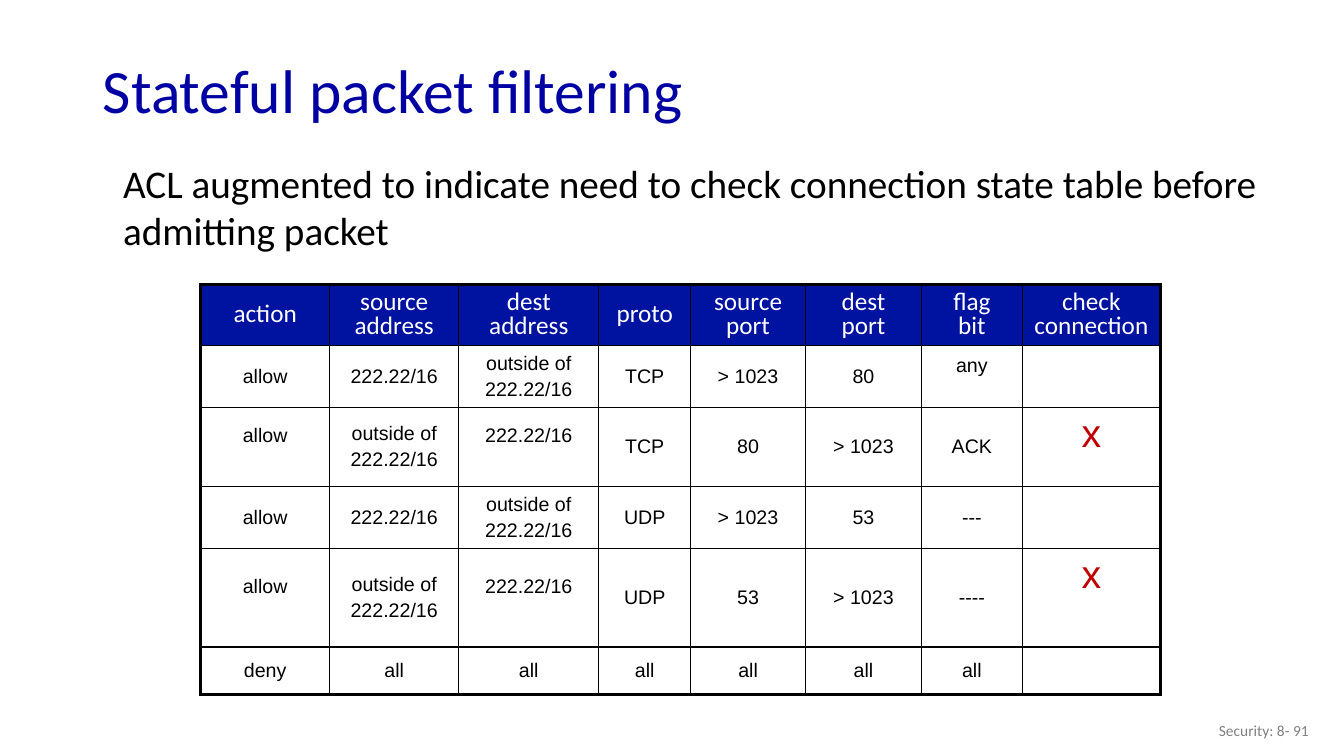
import dataclasses

import lxml.etree
import pptx
import pptx.dml.color
import pptx.enum.text
import pptx.oxml.ns
import pptx.util

Inches, Pt = pptx.util.Inches, pptx.util.Pt
ALIGN, ANCHOR = pptx.enum.text.PP_ALIGN, pptx.enum.text.MSO_ANCHOR
qn = pptx.oxml.ns.qn


@dataclasses.dataclass(frozen=True)
class Theme:
    heading_font: str = "Calibri"
    cell_font: str = "Arial"
    title: str = "0000A3"
    header_fill: str = "0012A0"
    header_text: str = "FFFFFF"
    ink: str = "000000"
    check: str = "C00000"
    footer: str = "808080"
    title_size: float = 44
    body_size: float = 28
    header_size: float = 18
    cell_size: float = 14
    check_size: float = 28
    footer_size: float = 11
    inner_line: float = 1
    outer_line: float = 2.25


THEME = Theme()

COLUMN_WIDTHS = [1.28, 1.28, 1.39, 0.91, 1.14, 1.15, 1, 1.37]
ROW_HEIGHTS = [0.61, 0.61, 0.79, 0.61, 0.98, 0.47]
HEADERS = ["action", "source\naddress", "dest\naddress", "proto",
           "source\nport", "dest\nport", "flag\nbit", "check connection"]
INSIDE, OUTSIDE = "222.22/16", "outside of\n222.22/16"
RULES = [
    ["allow", INSIDE, OUTSIDE, "TCP", "> 1023", "80", "any", ""],
    ["allow", OUTSIDE, INSIDE, "TCP", "80", "> 1023", "ACK", "x"],
    ["allow", INSIDE, OUTSIDE, "UDP", "> 1023", "53", "---", ""],
    ["allow", OUTSIDE, INSIDE, "UDP", "53", "> 1023", "----", "x"],
    ["deny"] + ["all"] * 6 + [""],
]
RAISED_CELLS = {(1, 6), (2, 0), (2, 2), (4, 0), (4, 2)}


def rgb(value):
    return pptx.dml.color.RGBColor.from_string(value)


def write(frame, text, *, size, color, font=THEME.heading_font, align=ALIGN.LEFT,
          line_spacing=None, space_before=0):
    """Fill a text frame, one paragraph for each line of text."""
    frame.word_wrap = True
    for index, line in enumerate(text.split("\n")):
        paragraph = frame.add_paragraph() if index else frame.paragraphs[0]
        paragraph.alignment = align
        paragraph.space_before = Pt(space_before)
        if line_spacing:
            paragraph.line_spacing = line_spacing
        run = paragraph.add_run()
        run.text = line
        run.font.name, run.font.size = font, Pt(size)
        run.font.color.rgb = rgb(color)


def place(shape, left, top, width, height):
    shape.left, shape.top = Inches(left), Inches(top)
    shape.width, shape.height = Inches(width), Inches(height)


def add_title(slide, text):
    title = slide.shapes.title
    place(title, 0.92, 0.44, 11.5, 0.98)
    title.text_frame.auto_size = pptx.enum.text.MSO_AUTO_SIZE.NONE
    title.text_frame.vertical_anchor = ANCHOR.MIDDLE
    write(title.text_frame, text, size=THEME.title_size, color=THEME.title,
          line_spacing=0.9)


def add_statement(slide, text):
    """Use the body placeholder for one unbulleted paragraph."""
    body = slide.placeholders[1]
    place(body, 1.12, 1.53, 11.95, 1.21)
    body.text_frame.auto_size = pptx.enum.text.MSO_AUTO_SIZE.NONE
    write(body.text_frame, text, size=THEME.body_size, color=THEME.ink,
          space_before=0.2 * THEME.body_size)
    properties = body.text_frame.paragraphs[0]._p.get_or_add_pPr()
    properties.set("marL", "0")
    properties.set("indent", "0")
    lxml.etree.SubElement(properties, qn("a:buNone"))


def add_footer(slide, text):
    footer = slide.shapes.add_textbox(Inches(10.08), Inches(7.05), Inches(3), Inches(0.4))
    footer.text_frame.vertical_anchor = ANCHOR.MIDDLE
    write(footer.text_frame, text, size=THEME.footer_size, color=THEME.footer,
          align=ALIGN.RIGHT)


def set_borders(cell, row, column):
    """Draw thick lines on the table's outer edge and thin ones inside."""
    outer = {"L": column == 0, "R": column == len(COLUMN_WIDTHS) - 1,
             "T": row == 0, "B": row == len(ROW_HEIGHTS) - 1}
    properties = cell._tc.get_or_add_tcPr()
    for side, is_outer in outer.items():
        width = Pt(THEME.outer_line if is_outer else THEME.inner_line)
        line = lxml.etree.SubElement(properties, qn(f"a:ln{side}"), w=str(int(width)))
        fill = lxml.etree.SubElement(line, qn("a:solidFill"))
        lxml.etree.SubElement(fill, qn("a:srgbClr"), val=THEME.ink)


def fill_cell(cell, text, row, column):
    set_borders(cell, row, column)
    cell.vertical_anchor = ANCHOR.MIDDLE
    if row == 0:
        cell.fill.solid()
        cell.fill.fore_color.rgb = rgb(THEME.header_fill)
        write(cell.text_frame, text, size=THEME.header_size, color=THEME.header_text,
              align=ALIGN.CENTER, line_spacing=0.8)
        return
    cell.fill.background()
    if not text:
        return
    size, color = THEME.cell_size, THEME.ink
    if text == "x":
        size, color = THEME.check_size, THEME.check
        cell.vertical_anchor = ANCHOR.TOP
    elif (row, column) in RAISED_CELLS:
        cell.margin_bottom = Inches(0.27)
    write(cell.text_frame, text, size=size, color=color, font=THEME.cell_font,
          align=ALIGN.CENTER, space_before=0.2 * size)


def add_rule_table(slide):
    rows = [HEADERS] + RULES
    table = slide.shapes.add_table(
        len(rows), len(HEADERS), Inches(1.99), Inches(2.82),
        Inches(sum(COLUMN_WIDTHS)), Inches(sum(ROW_HEIGHTS))).table
    table.first_row = table.horz_banding = False
    for column, width in zip(table.columns, COLUMN_WIDTHS):
        column.width = Inches(width)
    for row, height in zip(table.rows, ROW_HEIGHTS):
        row.height = Inches(height)
    for row, texts in enumerate(rows):
        for column, text in enumerate(texts):
            fill_cell(table.cell(row, column), text, row, column)


def main():
    deck = pptx.Presentation()
    deck.slide_width, deck.slide_height = Inches(13.33), Inches(7.5)
    slide = deck.slides.add_slide(deck.slide_layouts[1])
    add_footer(slide, "Security: 8- 91")
    add_title(slide, "Stateful packet filtering")
    add_rule_table(slide)
    add_statement(slide, "ACL augmented to indicate need to check connection "
                         "state table before admitting packet")
    deck.save("out.pptx")


if __name__ == "__main__":
    main()
